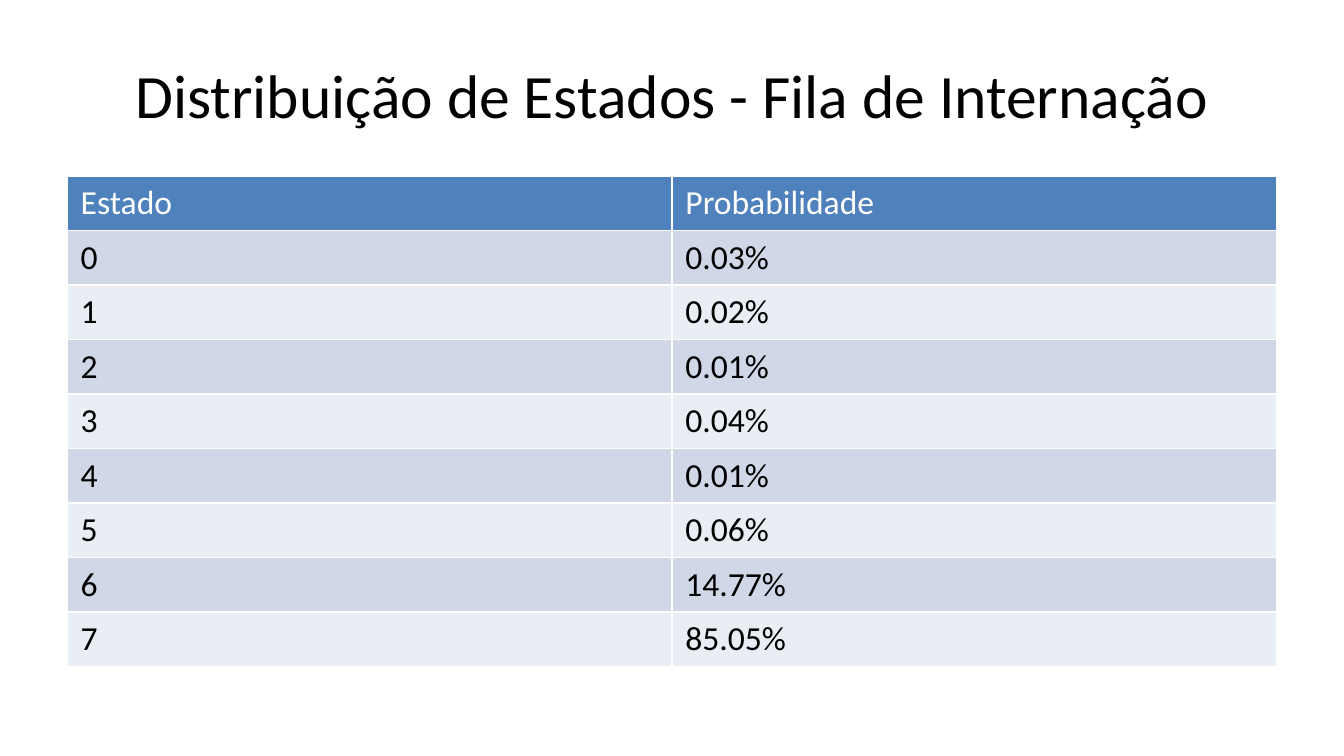
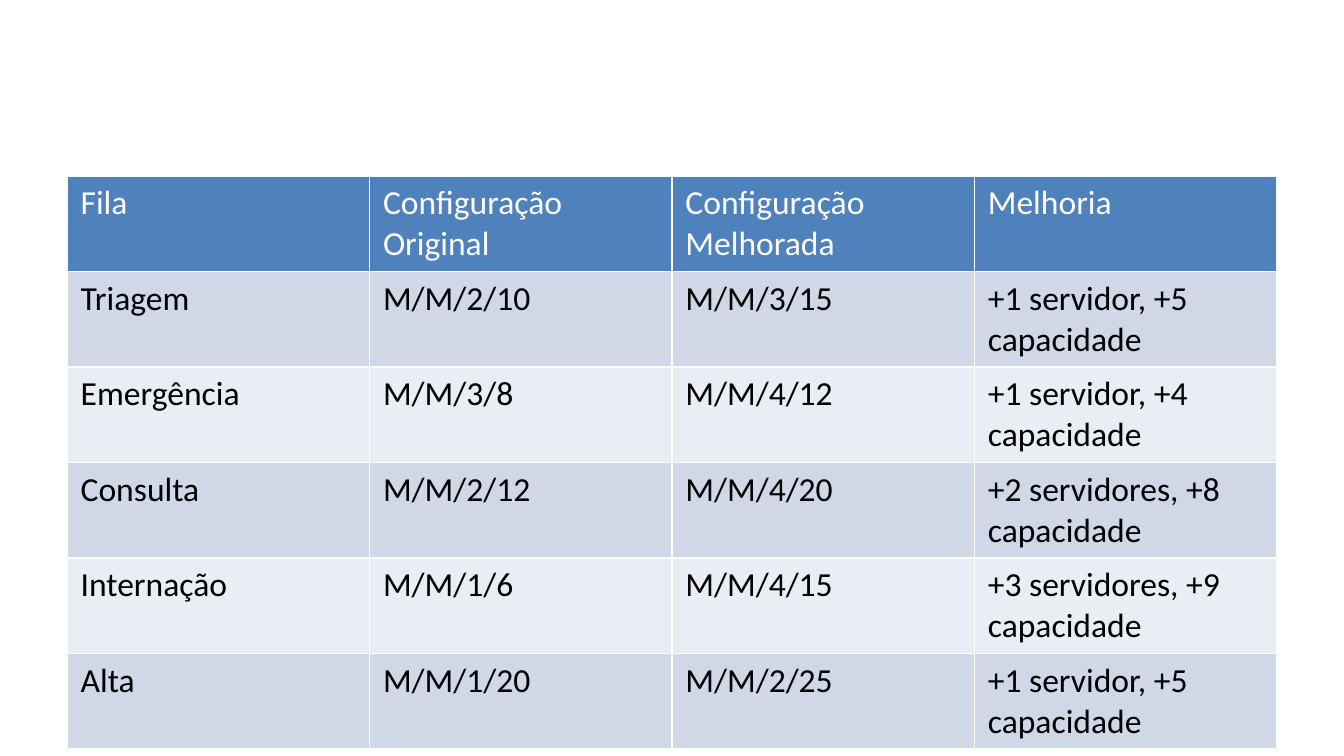
from pptx import Presentation
from pptx.dml.color import RGBColor
from pptx.enum.text import MSO_ANCHOR, PP_ALIGN
from pptx.util import Inches, Pt

TITLE_ONLY, BLANK = 5, 6


def tint(code):
    return RGBColor.from_string(code)


def write(frame, text, size=18, color="000000", font="Calibri", align=PP_ALIGN.LEFT):
    para = frame.paragraphs[0]
    para.alignment = align
    run = para.add_run()
    run.text = text
    run.font.size = Pt(size)
    run.font.name = font
    run.font.color.rgb = tint(color)


class Deck:
    head = "4F81BD"
    bands = ("D0D8E8", "E9EDF4")
    white = "FFFFFF"
    black = "000000"
    left, width = 0.5, 9

    def __init__(self):
        self.prs = Presentation()
        self.prs.slide_width = Inches(10)
        self.prs.slide_height = Inches(10 * 9 / 16)
        self.slide = None

    def page(self, layout):
        self.slide = self.prs.slides.add_slide(self.prs.slide_layouts[layout])
        fill = self.slide.background.fill
        fill.solid()
        fill.fore_color.rgb = tint(self.white)

    def title(self, text):
        box = self.slide.shapes.title
        box.left, box.top = Inches(self.left), Inches(0.23)
        box.width, box.height = Inches(self.width), Inches(0.94)
        box.text_frame.vertical_anchor = MSO_ANCHOR.MIDDLE
        write(box.text_frame, text, size=33, align=PP_ALIGN.CENTER)

    def table(self, rows):
        count = len(rows)
        grid = self.slide.shapes.add_table(
            count, len(rows[0]), Inches(self.left), Inches(1.31),
            Inches(self.width), Inches(0.4 * count)).table
        for r, row in enumerate(rows):
            top = r == 0
            shade = self.head if top else self.bands[(r - 1) % 2]
            for c, text in enumerate(row):
                cell = grid.cell(r, c)
                cell.fill.solid()
                cell.fill.fore_color.rgb = tint(shade)
                write(cell.text_frame, text, color=self.white if top else self.black)


def main():
    deck = Deck()

    deck.page(TITLE_ONLY)
    deck.title("Distribuição de Estados - Fila de Internação")
    odds = ["0.03%", "0.02%", "0.01%", "0.04%", "0.01%", "0.06%", "14.77%", "85.05%"]
    states = [(str(n), odd) for n, odd in enumerate(odds)]
    deck.table([("Estado", "Probabilidade"), *states])

    deck.page(BLANK)
    deck.table([
        ("Fila", "Configuração Original", "Configuração Melhorada", "Melhoria"),
        ("Triagem", "M/M/2/10", "M/M/3/15", "+1 servidor, +5 capacidade"),
        ("Emergência", "M/M/3/8", "M/M/4/12", "+1 servidor, +4 capacidade"),
        ("Consulta", "M/M/2/12", "M/M/4/20", "+2 servidores, +8 capacidade"),
        ("Internação", "M/M/1/6", "M/M/4/15", "+3 servidores, +9 capacidade"),
        ("Alta", "M/M/1/20", "M/M/2/25", "+1 servidor, +5 capacidade"),
    ])

    deck.prs.save("out.pptx")


if __name__ == "__main__":
    main()
